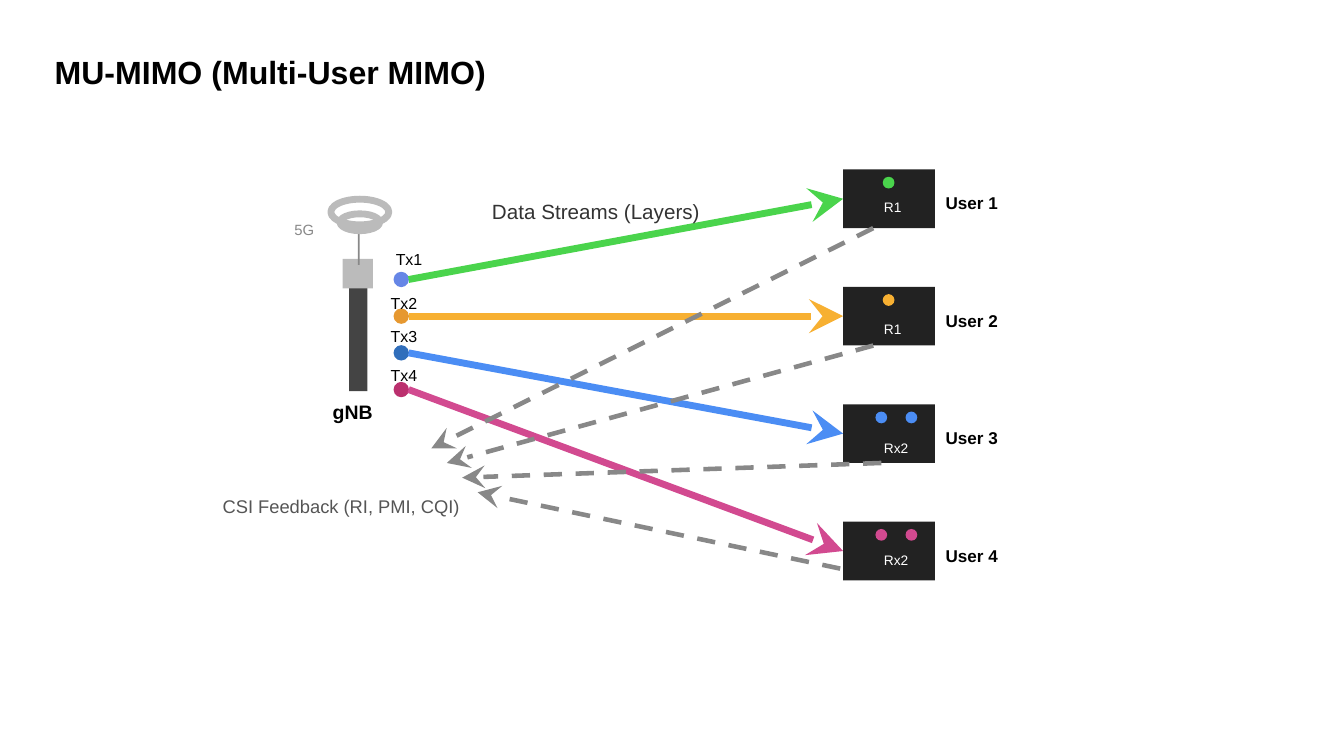
from lxml.etree import SubElement
from pptx import Presentation
from pptx.dml.color import RGBColor
from pptx.enum.dml import MSO_LINE
from pptx.enum.shapes import MSO_CONNECTOR, MSO_SHAPE
from pptx.enum.text import MSO_ANCHOR, MSO_AUTO_SIZE, PP_ALIGN
from pptx.oxml.ns import qn
from pptx.util import Inches, Pt

COLORS = {
    "black": "000000", "white": "FFFFFF", "box": "222222", "caption": "333333",
    "mast": "444444", "note": "555555", "gray": "888888", "antenna": "BBBBBB",
    "tx1": "6686E6", "tx2": "E69830", "tx3": "306EBB", "tx4": "BB306E",
    "stream1": "4AD44C", "stream2": "F7B032", "stream3": "4B8DF4", "stream4": "D24A90",
}
FONT = "Arial"

# Grid: square cells, counted from the centre of antenna Tx1
CELL = 0.0728
ORIGIN_X, ORIGIN_Y = 3.98, 2.773


def x(col):
    return Inches(ORIGIN_X + col * CELL)


def y(row):
    return Inches(ORIGIN_Y + row * CELL)


def span(cells):
    return Inches(cells * CELL)


def rgb(name):
    return RGBColor.from_string(COLORS[name])


class Diagram:
    def __init__(self, prs):
        self.s = prs.slides.add_slide(prs.slide_layouts[5])

    def style_text(self, shape, text, size, color, bold):
        tf = shape.text_frame
        tf.text = text
        tf.word_wrap = False
        tf.vertical_anchor = MSO_ANCHOR.TOP
        tf.auto_size = MSO_AUTO_SIZE.SHAPE_TO_FIT_TEXT
        p = tf.paragraphs[0]
        p.alignment = PP_ALIGN.LEFT
        p.font.name, p.font.size, p.font.bold = FONT, Pt(size), bold
        p.font.color.rgb = rgb(color)

    def title(self, text, col, row, width, size):
        sp = self.s.shapes.title
        sp.left, sp.top = x(col), y(row)
        sp.width, sp.height = span(width), Inches(size / 60 + 0.1)
        self.style_text(sp, text, size, "black", True)

    def label(self, text, col, row, width, size, color="black", bold=False):
        sp = self.s.shapes.add_textbox(x(col), y(row), span(width), Inches(size / 60 + 0.1))
        self.style_text(sp, text, size, color, bold)

    def shape(self, kind, col, row, width, height):
        sp = self.s.shapes.add_shape(kind, x(col), y(row), span(width), span(height))
        sp.shadow.inherit = False
        return sp

    def block(self, col, row, width, height, color, kind=MSO_SHAPE.RECTANGLE):
        sp = self.shape(kind, col, row, width, height)
        sp.fill.solid()
        sp.fill.fore_color.rgb = rgb(color)
        sp.line.fill.background()

    def dot(self, col, row, size, color):
        self.block(col - size / 2, row - size / 2, size, size, color, MSO_SHAPE.OVAL)

    def ring(self, col, row, width, height, color):
        sp = self.shape(MSO_SHAPE.OVAL, col - width / 2, row - height / 2, width, height)
        sp.fill.background()
        sp.line.color.rgb = rgb(color)
        sp.line.width = Pt(4.9)

    def arrow(self, start, end, color, weight, dashed=False):
        c = self.s.shapes.add_connector(
            MSO_CONNECTOR.STRAIGHT, x(start[0]), y(start[1]), x(end[0]), y(end[1]))
        c.line.color.rgb = rgb(color)
        c.line.width = Pt(weight)
        if dashed:
            c.line.dash_style = MSO_LINE.DASH
        SubElement(c.line._get_or_add_ln(), qn("a:tailEnd"), type="stealth", w="lg", len="lg")
        SubElement(c._element.spPr, qn("a:effectLst"))


def main():
    prs = Presentation()
    prs.slide_width, prs.slide_height = Inches(13.33), Inches(7.5)
    d = Diagram(prs)
    d.title("MU-MIMO (Multi-User MIMO)", -48.6, -31.6, 62, 22.9)

    # Base station
    d.block(-7.1, -0.8, 2.5, 16, "mast")
    d.block(-8, -2.8, 4.15, 4, "antenna")
    d.block(-5.9, -6.8, 0.25, 4.8, "gray")
    d.ring(-5.65, -7.8, 5.4, 2.3, "antenna")
    d.ring(-5.65, -9.2, 7.9, 3.5, "antenna")
    d.label("gNB", -10.7, 15.8, 8.2, 13.9, bold=True)
    d.label("5G", -15.9, -8.7, 5.5, 10.6, "gray")

    # Transmit antennas, five rows apart
    tx_labels = [(-2.1, -4.8), (-2.8, 1.2), (-2.8, 5.7), (-2.8, 11.1)]
    for i, (col, row) in enumerate(tx_labels):
        d.dot(0, 5 * i, 2.1, f"tx{i + 1}")
        d.label(f"Tx{i + 1}", col, row, 6.5, 11.4)

    # Data streams, each ending at the middle of a user's box
    box_left, box_width, box_height = 60.2, 12.5, 8
    box_tops = [-15 + 16 * i for i in range(4)]
    for i, top in enumerate(box_tops):
        d.arrow((1, 5 * i), (box_left, top + box_height / 2), f"stream{i + 1}", 4.9)
    d.label("Data Streams (Layers)", 11, -11.7, 31.2, 14.7, "caption")

    # Users: receiver label, its offset and width, receiver columns
    one, two = [66.4], [65.4, 69.5]
    users = [("R1", 3.3, 5.2, one), ("R1", 4, 5.2, one),
             ("Rx2", 4.1, 6.2, two), ("Rx2", 3.4, 6.2, two)]
    for i, (top, (receiver, offset, width, cols)) in enumerate(zip(box_tops, users)):
        d.block(box_left, top, box_width, box_height, "box")
        for col in cols:
            d.dot(col, top + 1.8, 1.6, f"stream{i + 1}")
        d.label(f"User {i + 1}", 72.8, top + 2.5, 9.9, 12.2, bold=True)
        d.label(receiver, 64.4, top + offset, width, 9.8, "white")

    # Feedback from each user to the base station
    feedback_starts = [(64.3, -7), (64.3, 9), (65.4, 25), (59.8, 39.4)]
    for i, start in enumerate(feedback_starts):
        d.arrow(start, (4.1 + 2.1 * i, 23 + 2 * i), "gray", 3.25, dashed=True)
    d.label("CSI Feedback (RI, PMI, CQI)", -25.7, 28.7, 35.3, 13.1, "note")

    prs.save("out.pptx")


if __name__ == "__main__":
    main()
